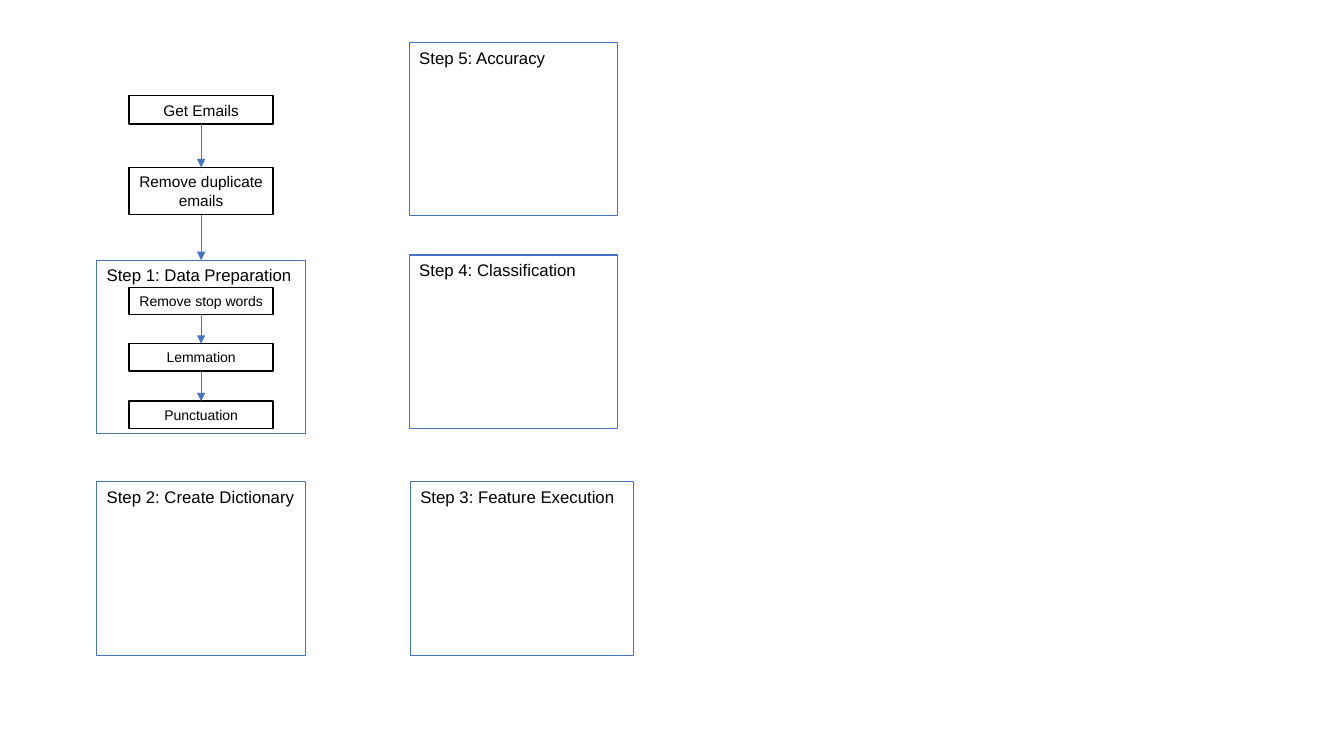
from lxml import etree
from pptx import Presentation
from pptx.dml.color import RGBColor
from pptx.enum.shapes import MSO_CONNECTOR, MSO_SHAPE
from pptx.enum.text import MSO_ANCHOR, PP_ALIGN
from pptx.oxml.ns import qn
from pptx.util import Inches, Pt

COLORS = {"text": "000000", "paper": "FFFFFF", "accent": "4472C4"}
FONT = "Arial"

TASK_LEFT, TASK_WIDTH = 1.28, 1.43
FRAME_WIDTH, FRAME_HEIGHT = 2.07, 1.72

# Text, top, height, font size
TASKS = [
    ("Get Emails", 0.95, 0.28, 11),
    ("Remove duplicate emails", 1.66, 0.47, 11),
    ("Remove stop words", 2.85, 0.27, 10),
    ("Lemmation", 3.41, 0.27, 10),
    ("Punctuation", 3.98, 0.27, 10),
]

# Text, left, top, width
STEPS = [
    ("Step 1: Data Preparation", 0.96, 2.58, FRAME_WIDTH),
    ("Step 2: Create Dictionary", 0.96, 4.78, FRAME_WIDTH),
    ("Step 3: Feature Execution", 4.07, 4.78, 2.21),
    ("Step 4: Classification", 4.06, 2.53, FRAME_WIDTH),
    ("Step 5: Accuracy", 4.06, 0.42, FRAME_WIDTH),
]


def color(name):
    return RGBColor.from_string(COLORS[name])


def add_box(page, text, left, top, width, height, size, line, weight, align, anchor):
    box = page.shapes.add_shape(
        MSO_SHAPE.RECTANGLE, Inches(left), Inches(top), Inches(width), Inches(height))
    box.shadow.inherit = False
    box.line.color.rgb = color(line)
    box.line.width = Pt(weight)
    frame = box.text_frame
    frame.word_wrap = True
    frame.vertical_anchor = anchor
    para = frame.paragraphs[0]
    para.alignment = align
    span = para.add_run()
    span.text = text
    span.font.name = FONT
    span.font.size = Pt(size)
    span.font.color.rgb = color("text")
    return box


def add_task(page, text, top, height, size):
    box = add_box(page, text, TASK_LEFT, top, TASK_WIDTH, height, size,
                  "text", 1, PP_ALIGN.CENTER, MSO_ANCHOR.MIDDLE)
    box.fill.solid()
    box.fill.fore_color.rgb = color("paper")
    return box


def add_step(page, text, left, top, width):
    box = add_box(page, text, left, top, width, FRAME_HEIGHT, 12,
                  "accent", 0.75, PP_ALIGN.LEFT, MSO_ANCHOR.TOP)
    box.fill.background()
    return box


def add_arrow(page, upper, lower):
    arrow = page.shapes.add_connector(MSO_CONNECTOR.STRAIGHT, 0, 0, 0, 0)
    arrow.begin_connect(upper, 2)
    arrow.end_connect(lower, 0)
    arrow.line.color.rgb = color("accent")
    arrow.line.width = Pt(0.5)
    properties = arrow.line._get_or_add_ln()
    etree.SubElement(properties, qn("a:tailEnd"), type="triangle")
    etree.SubElement(arrow._element.spPr, qn("a:effectLst"))


def main():
    deck = Presentation()
    deck.slide_width, deck.slide_height = Inches(13.33), Inches(7.5)
    page = deck.slides.add_slide(deck.slide_layouts[6])

    # Boxes
    emails, duplicates, stop_words, lemmas, punctuation = [
        add_task(page, *task) for task in TASKS]
    preparation = [add_step(page, *step) for step in STEPS][0]

    # Flow from collecting emails through data preparation
    for upper, lower in [(emails, duplicates), (duplicates, preparation),
                         (stop_words, lemmas), (lemmas, punctuation)]:
        add_arrow(page, upper, lower)

    deck.save("out.pptx")


if __name__ == "__main__":
    main()
